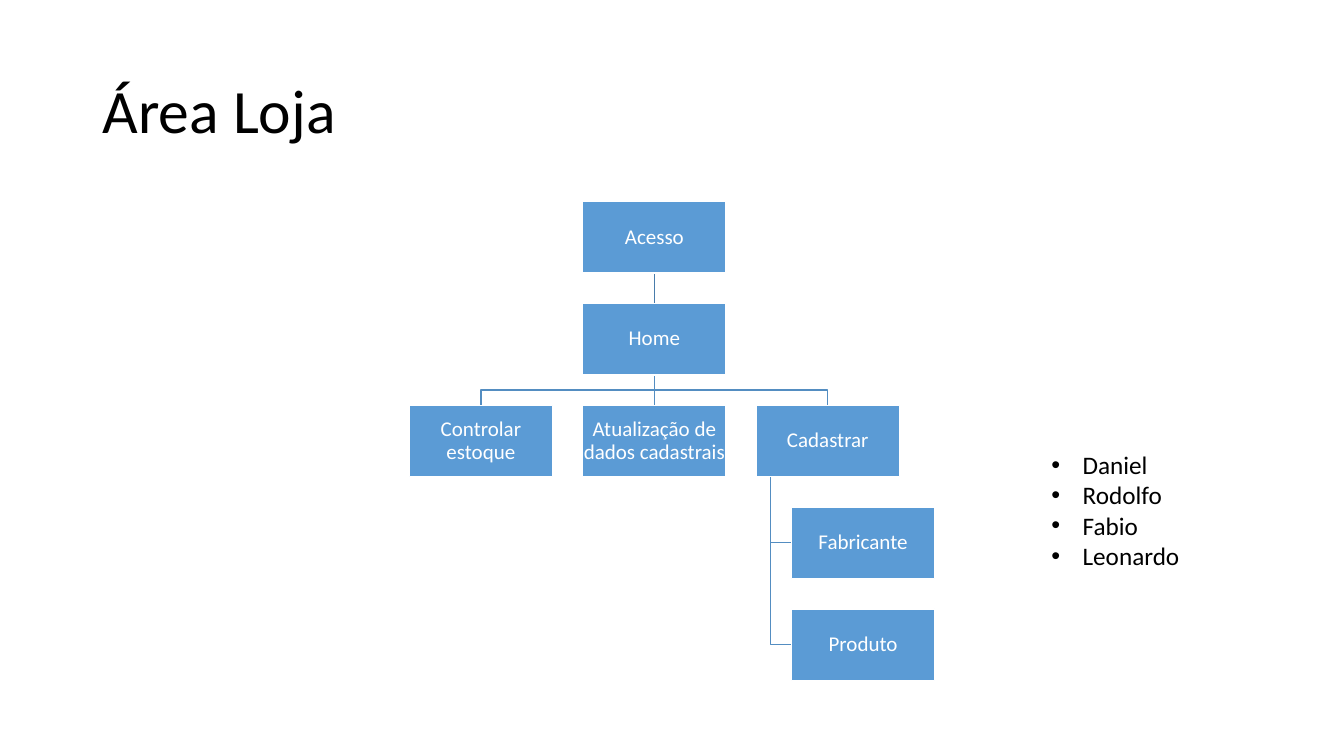
from dataclasses import dataclass

from lxml import etree
from pptx import Presentation
from pptx.dml.color import RGBColor
from pptx.enum.shapes import MSO_CONNECTOR, MSO_SHAPE
from pptx.enum.text import MSO_ANCHOR, PP_ALIGN
from pptx.oxml.ns import qn
from pptx.util import Inches, Pt

STRAIGHT = MSO_CONNECTOR.STRAIGHT
RECTANGLE = MSO_SHAPE.RECTANGLE
MIDDLE, TOP = MSO_ANCHOR.MIDDLE, MSO_ANCHOR.TOP
LEFT, CENTER = PP_ALIGN.LEFT, PP_ALIGN.CENTER
SIDE_TOP, SIDE_BOTTOM = 0, 2

COLORS = {"box": "5B9BD5", "white": "FFFFFF", "black": "000000",
          "root_link": "497CAB", "link": "538DC1"}
FONT = "Calibri"
BOX_W, BOX_H = 1.42, 0.71
ROW_TOP, ROW_STEP = 2.0, 1.01
CENTER_LEFT, COLUMN_STEP = 5.78, 1.72
CHILD_LEFT = 7.85
TRUNK_INSET = 0.14
BULLET_INDENT = 0.31


@dataclass(frozen=True)
class Page:
    label: str
    left: float
    row: int

    @property
    def top(self) -> float:
        return ROW_TOP + self.row * ROW_STEP

    @property
    def bottom(self) -> float:
        return self.top + BOX_H

    @property
    def middle_x(self) -> float:
        return self.left + BOX_W / 2

    @property
    def middle_y(self) -> float:
        return self.top + BOX_H / 2


ACCESS = Page("Acesso", CENTER_LEFT, 0)
HOME = Page("Home", CENTER_LEFT, 1)
STOCK = Page("Controlar estoque", CENTER_LEFT - COLUMN_STEP, 2)
UPDATE = Page("Atualização de dados cadastrais", CENTER_LEFT, 2)
REGISTER = Page("Cadastrar", CENTER_LEFT + COLUMN_STEP, 2)
MAKER = Page("Fabricante", CHILD_LEFT, 3)
PRODUCT = Page("Produto", CHILD_LEFT, 4)
PAGES = (ACCESS, HOME, STOCK, UPDATE, REGISTER, MAKER, PRODUCT)
TEAM = ("Daniel", "Rodolfo", "Fabio", "Leonardo")


def rgb(name: str) -> RGBColor:
    return RGBColor.from_string(COLORS[name])


def write(frame, *lines: str, size: float, color: str = "black", align=LEFT,
          anchor=TOP, spacing: float = 1.0, inset: float | None = None) -> None:
    frame.word_wrap = True
    frame.vertical_anchor = anchor
    if inset is not None:
        frame.margin_left = frame.margin_right = Inches(inset)
        frame.margin_top = frame.margin_bottom = Inches(inset)
    for index, line in enumerate(lines):
        paragraph = frame.add_paragraph() if index else frame.paragraphs[0]
        paragraph.alignment = align
        paragraph.line_spacing = spacing
        run = paragraph.add_run()
        run.text = line
        run.font.name = FONT
        run.font.size = Pt(size)
        run.font.color.rgb = rgb(color)


def add_bullets(frame) -> None:
    for paragraph in frame.paragraphs:
        properties = paragraph._p.get_or_add_pPr()
        properties.set("marL", str(Inches(BULLET_INDENT)))
        properties.set("indent", str(-Inches(BULLET_INDENT)))
        etree.SubElement(properties, qn("a:buFont")).set("typeface", "Arial")
        etree.SubElement(properties, qn("a:buChar")).set("char", "•")


def add_text_area(slide, left: float, top: float, width: float, height: float):
    return slide.shapes.add_textbox(
        Inches(left), Inches(top), Inches(width), Inches(height)).text_frame


def add_page(slide, page: Page):
    box = slide.shapes.add_shape(RECTANGLE, Inches(page.left), Inches(page.top),
                                 Inches(BOX_W), Inches(BOX_H))
    box.shadow.inherit = False
    box.fill.solid()
    box.fill.fore_color.rgb = rgb("box")
    box.line.color.rgb = rgb("white")
    box.line.width = Pt(1)
    write(box.text_frame, page.label, size=15, color="white", align=CENTER,
          anchor=MIDDLE, spacing=0.9, inset=0.01)
    return box


def add_straight_link(slide, upper, lower, color: str):
    link = slide.shapes.add_connector(STRAIGHT, 0, 0, 0, 0)
    link.begin_connect(upper, SIDE_BOTTOM)
    link.end_connect(lower, SIDE_TOP)
    link.line.color.rgb = rgb(color)
    link.line.width = Pt(1)
    etree.SubElement(link.element.spPr, qn("a:effectLst"))
    return link


def add_bent_link(slide, *points: tuple[float, float]):
    start, *corners = [(Inches(x), Inches(y)) for x, y in points]
    builder = slide.shapes.build_freeform(*start)
    builder.add_line_segments(corners, close=False)
    link = builder.convert_to_shape()
    link.shadow.inherit = False
    link.fill.background()
    link.line.color.rgb = rgb("link")
    link.line.width = Pt(1)
    return link


def main() -> None:
    deck = Presentation()
    deck.slide_width, deck.slide_height = Inches(13.33), Inches(7.5)
    slide = deck.slides.add_slide(deck.slide_layouts[6])

    write(add_text_area(slide, 0.92, 0.4, 11.5, 1.45), "Área Loja",
          size=44, anchor=MIDDLE, spacing=0.9)

    boxes = {page: add_page(slide, page) for page in PAGES}
    links = [add_straight_link(slide, boxes[ACCESS], boxes[HOME], "root_link"),
             add_straight_link(slide, boxes[HOME], boxes[UPDATE], "link")]
    branch_y = (HOME.bottom + STOCK.top) / 2
    for page in (STOCK, REGISTER):
        links.append(add_bent_link(
            slide, (HOME.middle_x, HOME.bottom), (HOME.middle_x, branch_y),
            (page.middle_x, branch_y), (page.middle_x, page.top)))
    trunk_x = REGISTER.left + TRUNK_INSET
    for page in (MAKER, PRODUCT):
        links.append(add_bent_link(
            slide, (trunk_x, REGISTER.bottom), (trunk_x, page.middle_y),
            (page.left, page.middle_y)))
    for link in links:  # links lie behind the boxes
        boxes[ACCESS].element.addprevious(link.element)

    team = add_text_area(slide, 10.33, 4.41, 2.53, 1.31)
    write(team, *TEAM, size=18)
    add_bullets(team)

    deck.save("out.pptx")


if __name__ == "__main__":
    main()
